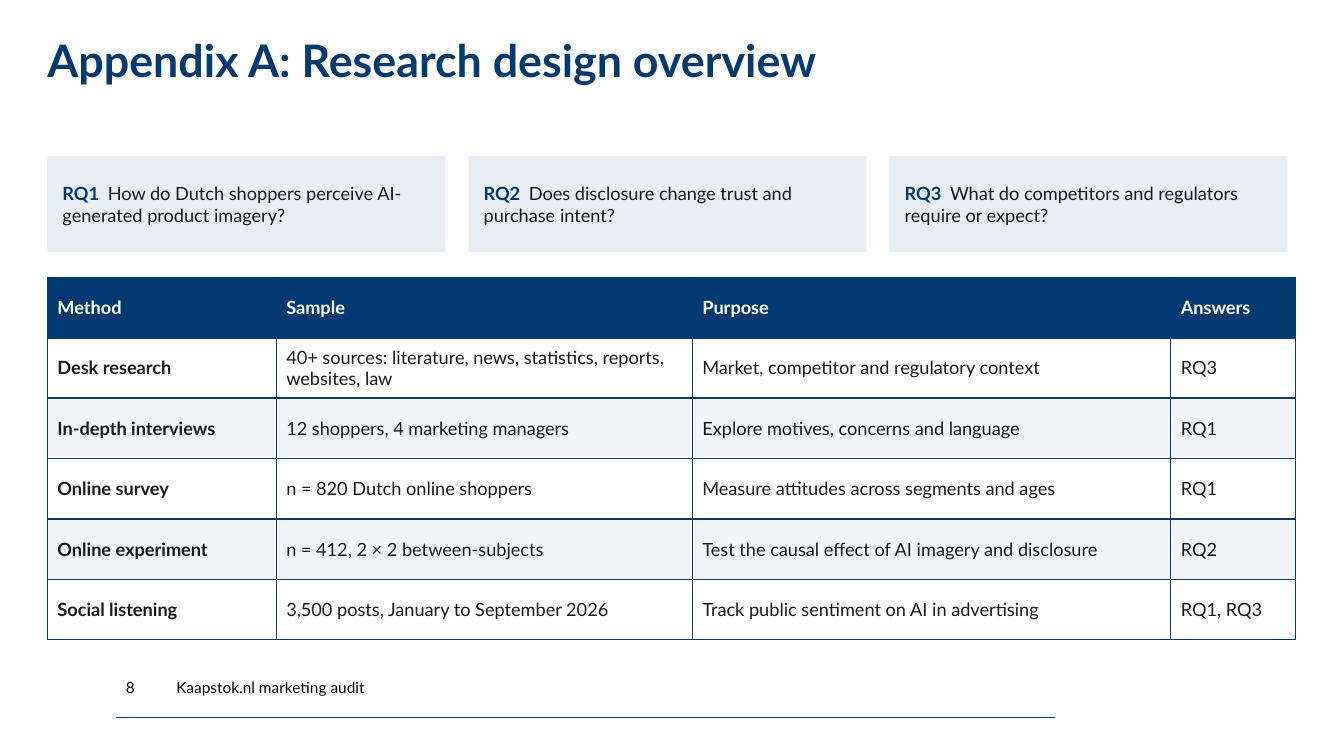
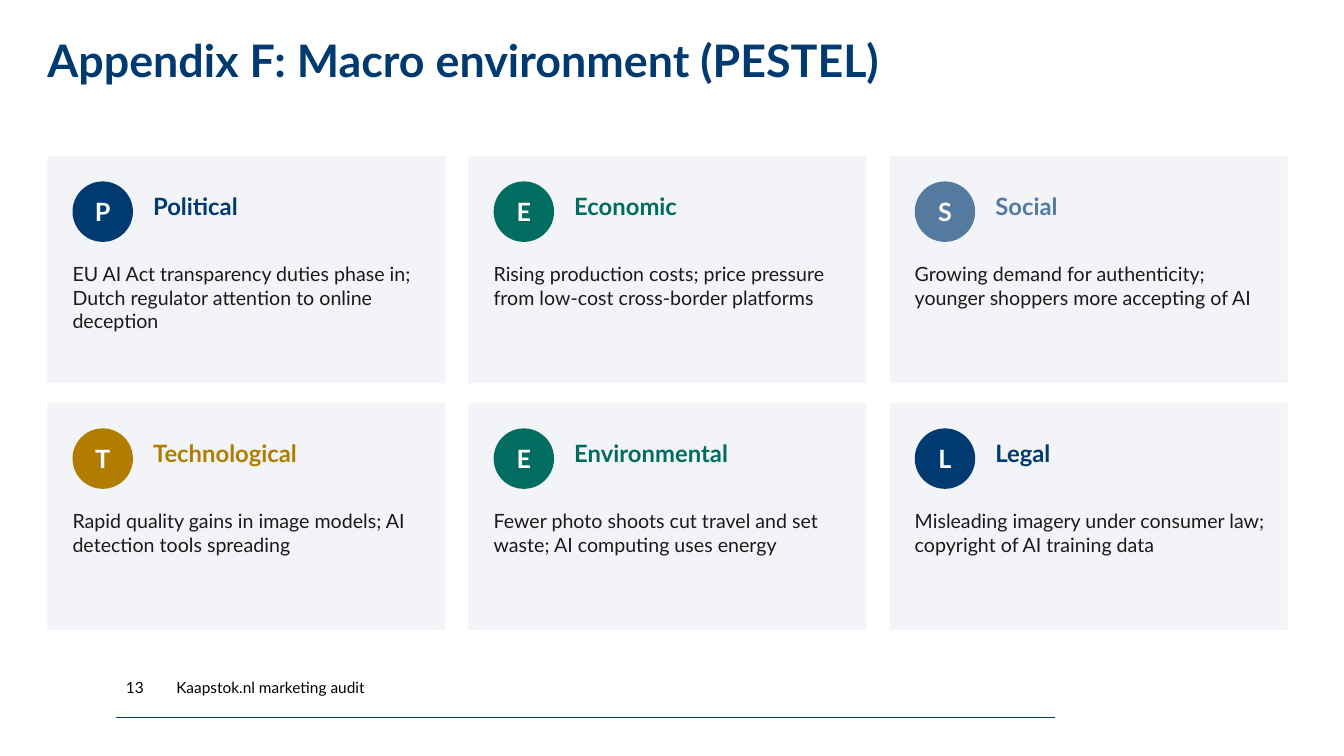
from lxml import etree
from pptx import Presentation
from pptx.dml.color import RGBColor
from pptx.enum.shapes import MSO_CONNECTOR, MSO_SHAPE
from pptx.enum.text import MSO_ANCHOR, MSO_AUTO_SIZE, PP_ALIGN
from pptx.oxml.ns import qn
from pptx.util import Inches, Pt

RECT, OVAL = MSO_SHAPE.RECTANGLE, MSO_SHAPE.OVAL
STRAIGHT = MSO_CONNECTOR.STRAIGHT
TOP, MIDDLE = MSO_ANCHOR.TOP, MSO_ANCHOR.MIDDLE
LEFT, CENTER = PP_ALIGN.LEFT, PP_ALIGN.CENTER
FIXED, GROW = MSO_AUTO_SIZE.NONE, MSO_AUTO_SIZE.SHAPE_TO_FIT_TEXT

FONT = "Lato"
NAVY = RGBColor(0x00, 0x3A, 0x70)
GREEN = RGBColor(0x01, 0x6D, 0x61)
STEEL = RGBColor(0x54, 0x7A, 0x9F)
GOLD = RGBColor(0xB0, 0x7D, 0x00)
INK = RGBColor(0x1A, 0x1A, 0x1A)
BLACK = RGBColor(0x00, 0x00, 0x00)
WHITE = RGBColor(0xFF, 0xFF, 0xFF)
PALE_BLUE = RGBColor(0xE6, 0xED, 0xF5)
PALE_GREY = RGBColor(0xF2, 0xF4, 0xF8)

# Grid, in inches
SLIDE_W, SLIDE_H = 13.34, 7.5
MARGIN, CONTENT_W, CONTENT_TOP = 0.47, 12.39, 1.55
COLUMNS, CARD_W, COLUMN_GAP = 3, 3.95, 0.23
CARD_H, ROW_GAP = 2.25, 0.2
FOOTER_TOP, FOOTER_H, FOOTER_TEXT = 6.62, 0.4, "Kaapstok.nl marketing audit"

QUESTIONS = [
    ("RQ1", "How do Dutch shoppers perceive AI-generated product imagery?"),
    ("RQ2", "Does disclosure change trust and purchase intent?"),
    ("RQ3", "What do competitors and regulators require or expect?"),
]
COLUMN_SHARES = [11 / 60, 20 / 60, 23 / 60, 6 / 60]
METHODS = [
    ("Method", "Sample", "Purpose", "Answers"),
    ("Desk research", "40+ sources: literature, news, statistics, reports, websites, law",
     "Market, competitor and regulatory context", "RQ3"),
    ("In-depth interviews", "12 shoppers, 4 marketing managers",
     "Explore motives, concerns and language", "RQ1"),
    ("Online survey", "n = 820 Dutch online shoppers",
     "Measure attitudes across segments and ages", "RQ1"),
    ("Online experiment", "n = 412, 2 × 2 between-subjects",
     "Test the causal effect of AI imagery and disclosure", "RQ2"),
    ("Social listening", "3,500 posts, January to September 2026",
     "Track public sentiment on AI in advertising", "RQ1, RQ3"),
]
FACTORS = [
    ("Political", NAVY, "EU AI Act transparency duties phase in; "
     "Dutch regulator attention to online deception"),
    ("Economic", GREEN, "Rising production costs; price pressure "
     "from low-cost cross-border platforms"),
    ("Social", STEEL, "Growing demand for authenticity; "
     "younger shoppers more accepting of AI"),
    ("Technological", GOLD, "Rapid quality gains in image models; "
     "AI detection tools spreading"),
    ("Environmental", GREEN, "Fewer photo shoots cut travel and set waste; "
     "AI computing uses energy"),
    ("Legal", NAVY, "Misleading imagery under consumer law; "
     "copyright of AI training data"),
]


def write_text(frame, text, size=13, color=INK, bold=False, align=LEFT, anchor=MIDDLE,
               insets=(0, 0), fit=FIXED, line_spacing=None, label=None, tab=0.45):
    """Fill a text frame; a label becomes a bold navy lead-in before a tab stop."""
    frame.word_wrap, frame.auto_size, frame.vertical_anchor = True, fit, anchor
    frame.margin_left = frame.margin_right = Inches(insets[0])
    frame.margin_top = frame.margin_bottom = Inches(insets[1])
    paragraph = frame.paragraphs[0]
    paragraph.alignment = align
    if line_spacing:
        paragraph.line_spacing = line_spacing
    pieces = [(text, color, bold)]
    if label:
        tabs = etree.SubElement(paragraph._p.get_or_add_pPr(), qn("a:tabLst"))
        etree.SubElement(tabs, qn("a:tab"), pos=str(Inches(tab)), algn="l")
        pieces.insert(0, (label + "\t", NAVY, True))
    for piece, piece_color, piece_bold in pieces:
        run = paragraph.add_run()
        run.text = piece
        run.font.name, run.font.size = FONT, Pt(size)
        run.font.bold, run.font.color.rgb = piece_bold, piece_color


def add_panel(slide, kind, left, top, width, height, fill):
    panel = slide.shapes.add_shape(kind, Inches(left), Inches(top), Inches(width), Inches(height))
    panel.shadow.inherit = False
    panel.fill.solid()
    panel.fill.fore_color.rgb = fill
    panel.line.fill.background()
    return panel


def add_label(slide, left, top, width, height, text, **text_format):
    box = slide.shapes.add_textbox(Inches(left), Inches(top), Inches(width), Inches(height))
    write_text(box.text_frame, text, **text_format)


def card_origin(index):
    row, column = divmod(index, COLUMNS)
    return (MARGIN + column * (CARD_W + COLUMN_GAP),
            CONTENT_TOP + row * (CARD_H + ROW_GAP))


def add_footer_rule(slide, layout):
    """Draw the footer rule and hand it to the layout that all slides share."""
    rule = slide.shapes.add_connector(STRAIGHT, Inches(1.15), Inches(7.12),
                                      Inches(10.47), Inches(7.12))
    rule.line.color.rgb, rule.line.width = NAVY, Pt(0.5)
    etree.SubElement(rule._element.spPr, qn("a:effectLst"))
    layout.shapes.element.append(rule._element)


def add_base_slide(deck, layout, title, number):
    """Start a slide with its title and footer."""
    slide = deck.slides.add_slide(layout)
    heading = slide.shapes.title
    heading.left, heading.top = Inches(MARGIN), 0
    heading.width, heading.height = Inches(CONTENT_W), Inches(SLIDE_H / 6)
    write_text(heading.text_frame, title, size=32, color=NAVY, bold=True, line_spacing=0.9)
    for left, width, text in ((1.75, 4, FOOTER_TEXT), (1.25, 0.5, str(number))):
        add_label(slide, left, FOOTER_TOP, width, FOOTER_H, text, size=11, color=BLACK)
    return slide


def set_borders(cell, bottom=1):
    properties = cell._tc.get_or_add_tcPr()
    widths = (("a:lnL", 1), ("a:lnR", 1), ("a:lnT", 1), ("a:lnB", bottom))
    for position, (side, width) in enumerate(widths):
        line = etree.Element(qn(side), w=str(Pt(width)))
        fill = etree.SubElement(line, qn("a:solidFill"))
        etree.SubElement(fill, qn("a:srgbClr"), val=str(NAVY))
        properties.insert(position, line)


def add_methods_table(slide, top, row_height):
    table = slide.shapes.add_table(
        len(METHODS), len(COLUMN_SHARES), Inches(MARGIN), Inches(top),
        Inches(CONTENT_W), Inches(row_height * len(METHODS))).table
    for column, share in zip(table.columns, COLUMN_SHARES):
        column.width = Inches(CONTENT_W * share)
    for r, values in enumerate(METHODS):
        header = r == 0
        row_fill = NAVY if header else (WHITE if r % 2 else PALE_GREY)
        for c, value in enumerate(values):
            cell = table.cell(r, c)
            cell.fill.solid()
            cell.fill.fore_color.rgb = row_fill
            write_text(cell.text_frame, value, color=WHITE if header else INK,
                       bold=header or c == 0)
            cell.vertical_anchor = MIDDLE
            cell.margin_left = cell.margin_right = Inches(0.1)
            cell.margin_top = cell.margin_bottom = Inches(0.05)
            set_borders(cell, bottom=3 if header else 1)


def add_question(slide, index, label, question):
    left, top = card_origin(index)
    panel = add_panel(slide, RECT, left, top, CARD_W, 0.95, PALE_BLUE)
    write_text(panel.text_frame, question, label=label, insets=(0.15, 0.12))


def add_factor_card(slide, index, name, color, detail):
    left, top = card_origin(index)
    add_panel(slide, RECT, left, top, CARD_W, CARD_H, PALE_GREY)
    left, top = left + 0.25, top + 0.25
    badge = add_panel(slide, OVAL, left, top, 0.6, 0.6, color)
    write_text(badge.text_frame, name[0], size=18, color=WHITE, bold=True,
               align=CENTER, insets=(0.02, 0.02))
    flowing = dict(anchor=TOP, insets=(0, 0.05), fit=GROW)
    add_label(slide, left + 0.8, top + 0.05, 2.8, 0.5, name,
              size=17, color=color, bold=True, **flowing)
    add_label(slide, left, top + 0.75, 3.5, 1.2, detail, size=14, **flowing)


def main():
    deck = Presentation()
    deck.slide_width, deck.slide_height = Inches(SLIDE_W), Inches(SLIDE_H)
    layout = deck.slide_layouts.get_by_name("Title Only")

    # Research design
    design = add_base_slide(deck, layout, "Appendix A: Research design overview", 8)
    add_footer_rule(design, layout)
    for index, question in enumerate(QUESTIONS):
        add_question(design, index, *question)
    add_methods_table(design, top=2.75, row_height=0.6)

    # Macro environment
    macro = add_base_slide(deck, layout, "Appendix F: Macro environment (PESTEL)", 13)
    for index, factor in enumerate(FACTORS):
        add_factor_card(macro, index, *factor)

    deck.save("out.pptx")


if __name__ == "__main__":
    main()
